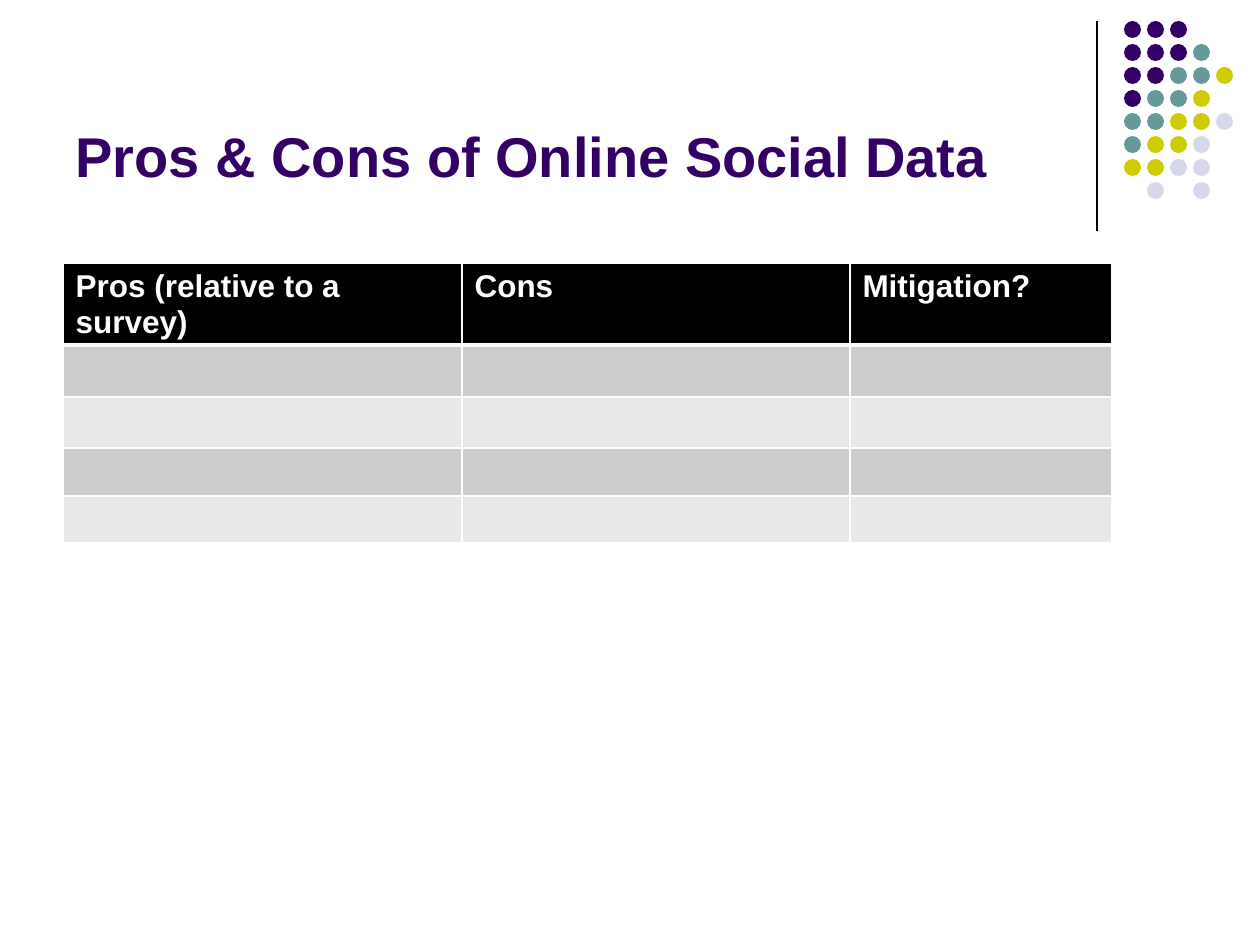
from dataclasses import dataclass

from lxml.etree import SubElement
from pptx import Presentation
from pptx.dml.color import RGBColor
from pptx.enum.shapes import MSO_CONNECTOR, MSO_SHAPE
from pptx.enum.text import MSO_ANCHOR, PP_ALIGN
from pptx.oxml.ns import qn
from pptx.util import Pt

EMU_PER_PX = 914400 / 126


@dataclass(frozen=True)
class Theme:
    font: str = "Arial"
    title_size: int = 32
    header_size: int = 18
    body_size: int = 16
    purple: str = "330066"
    teal: str = "669999"
    olive: str = "CCCC00"
    lavender: str = "D8D8EC"
    black: str = "000000"
    white: str = "FFFFFF"
    bands: tuple = ("CCCCCC", "E7E7E7")


THEME = Theme()

# One letter per dot: purple, teal, olive, lavender
DOT_ROWS = ["PPP", "PPPT", "PPTTO", "PTTO", "TTOOL", "TOOL", "OOLL", " L L"]
DOT_COLORS = {"P": THEME.purple, "T": THEME.teal,
              "O": THEME.olive, "L": THEME.lavender}

HEADERS = ["Pros (relative to a survey)", "Cons", "Mitigation?"]
COLUMN_WIDTHS = [399, 388, 262]
ROW_HEIGHTS = [82, 52, 51, 48, 47]


def px(length):
    return round(length * EMU_PER_PX)


def rgb(color):
    return RGBColor.from_string(color)


def format_text(paragraph, size, color):
    paragraph.alignment = PP_ALIGN.LEFT
    for run in paragraph.runs:
        run.font.name = THEME.font
        run.font.size = Pt(size)
        run.font.bold = True
        run.font.color.rgb = rgb(color)


def add_divider(slide, left, top, height):
    line = slide.shapes.add_connector(
        MSO_CONNECTOR.STRAIGHT, px(left), px(top), px(left), px(top + height))
    line.line.color.rgb = rgb(THEME.black)
    line.line.width = Pt(0.75)
    SubElement(line._element.spPr, qn("a:effectLst"))


def add_dots(slide, left, top, width, height, diameter=17):
    column_step = (width - diameter) / (max(map(len, DOT_ROWS)) - 1)
    row_step = (height - diameter) / (len(DOT_ROWS) - 1)
    group = slide.shapes.add_group_shape()
    for row, letters in enumerate(DOT_ROWS):
        for column, letter in enumerate(letters):
            if letter == " ":
                continue
            dot = group.shapes.add_shape(
                MSO_SHAPE.OVAL, px(left + column * column_step),
                px(top + row * row_step), px(diameter), px(diameter))
            dot.shadow.inherit = False
            dot.fill.solid()
            dot.fill.fore_color.rgb = rgb(DOT_COLORS[letter])
            dot.line.fill.background()


def place_title(slide, text, left, top, width, height):
    title = slide.shapes.title
    title.left, title.top = px(left), px(top)
    title.width, title.height = px(width), px(height)
    title.text_frame.text = text
    title.text_frame.vertical_anchor = MSO_ANCHOR.BOTTOM
    format_text(title.text_frame.paragraphs[0], THEME.title_size, THEME.purple)


def set_borders(cell, bottom_width):
    properties = cell._tc.get_or_add_tcPr()
    widths = {"lnL": 1, "lnR": 1, "lnT": 1, "lnB": bottom_width}
    for index, (side, width) in enumerate(widths.items()):
        border = SubElement(properties, qn(f"a:{side}"), w=str(Pt(width)))
        fill = SubElement(border, qn("a:solidFill"))
        SubElement(fill, qn("a:srgbClr"), val=THEME.white)
        properties.insert(index, border)  # borders come before the fill


def add_comparison_table(slide, left, top):
    frame = slide.shapes.add_table(
        len(ROW_HEIGHTS), len(COLUMN_WIDTHS), px(left), px(top),
        px(sum(COLUMN_WIDTHS)), px(sum(ROW_HEIGHTS)))
    table = frame.table
    for column, width in zip(table.columns, COLUMN_WIDTHS):
        column.width = px(width)
    for index, (row, height) in enumerate(zip(table.rows, ROW_HEIGHTS)):
        row.height = px(height)
        is_header = index == 0
        color = THEME.black if is_header else THEME.bands[(index - 1) % 2]
        for cell, header in zip(row.cells, HEADERS):
            cell.fill.solid()
            cell.fill.fore_color.rgb = rgb(color)
            set_borders(cell, 3 if is_header or index == 0 else 1)
            paragraph = cell.text_frame.paragraphs[0]
            if is_header:
                cell.margin_bottom = px(3)
                paragraph.text = header
                format_text(paragraph, THEME.header_size, THEME.white)
            else:
                # Keeps an empty row from growing past its height
                end = paragraph._p.get_or_add_endParaRPr()
                end.set("sz", str(THEME.body_size * 100))


def main():
    presentation = Presentation()
    presentation.slide_width, presentation.slide_height = px(1260), px(945)
    slide = presentation.slides.add_slide(presentation.slide_layouts[5])

    # Corner decoration
    add_divider(slide, 1097, 21, 210)
    add_dots(slide, 1124, 21, 109, 178)

    # Title and comparison
    place_title(slide, "Pros & Cons of Online Social Data", 63, 16, 1040, 179)
    add_comparison_table(slide, 63, 263)

    presentation.save("out.pptx")


if __name__ == "__main__":
    main()
